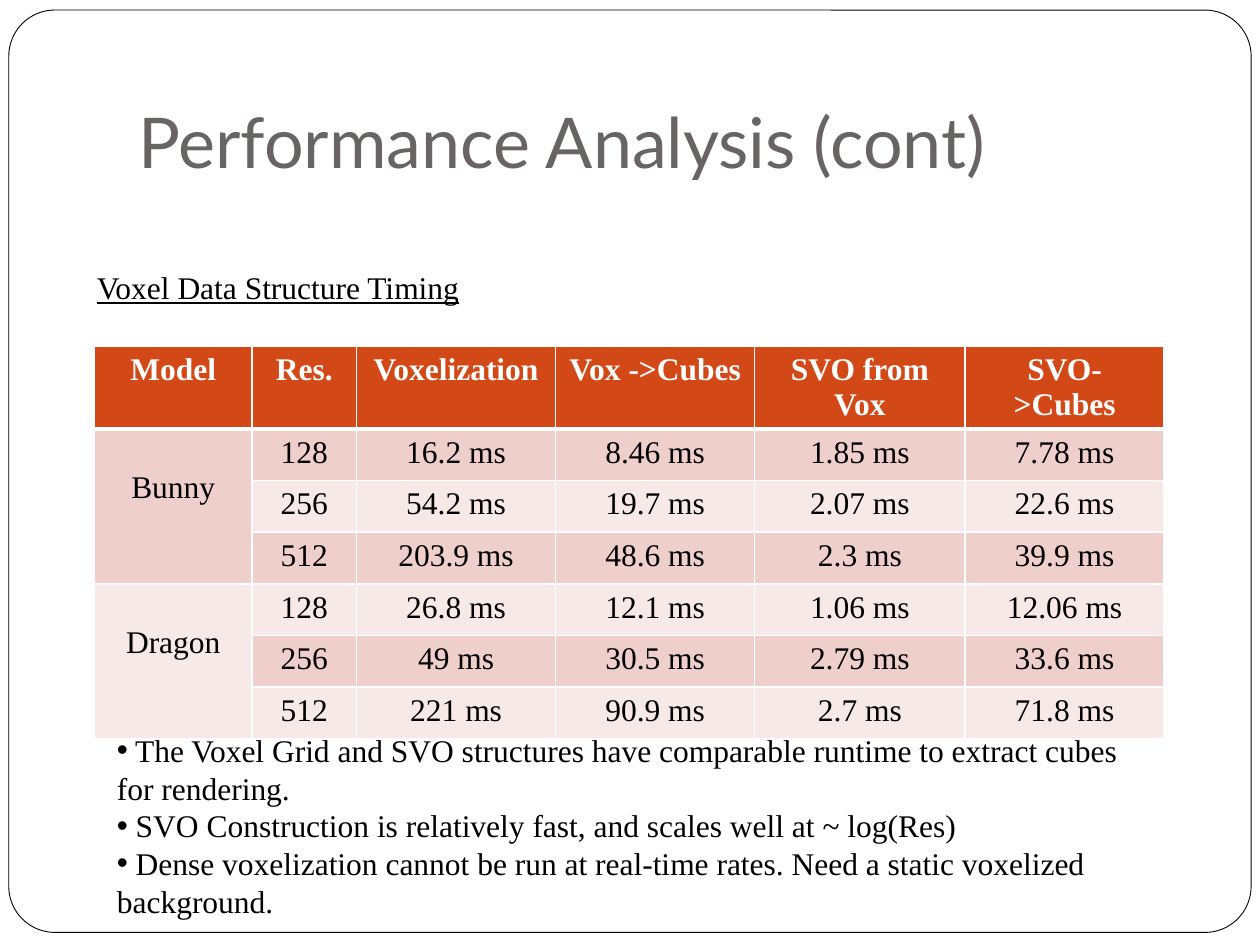
"""Build the voxel data structure timing slide."""
from lxml.etree import SubElement
from pptx import Presentation
from pptx.dml.color import RGBColor
from pptx.enum.shapes import MSO_SHAPE as SHAPE
from pptx.enum.text import MSO_ANCHOR as ANCHOR, MSO_AUTO_SIZE as AUTO, PP_ALIGN as ALIGN
from pptx.oxml.ns import qn
from pptx.util import Inches, Pt

TITLE = "Performance Analysis (cont)"
CAPTION = "Voxel Data Structure Timing"
HEADERS = ["Model", "Res.", "Voxelization", "Vox ->Cubes", "SVO from Vox", "SVO->Cubes"]
TIMINGS = {
    "Bunny": [
        ("128", "16.2 ms", "8.46 ms", "1.85 ms", "7.78 ms"),
        ("256", "54.2 ms", "19.7 ms", "2.07 ms", "22.6 ms"),
        ("512", "203.9 ms", "48.6 ms", "2.3 ms", "39.9 ms"),
    ],
    "Dragon": [
        ("128", "26.8 ms", "12.1 ms", "1.06 ms", "12.06 ms"),
        ("256", "49 ms", "30.5 ms", "2.79 ms", "33.6 ms"),
        ("512", "221 ms", "90.9 ms", "2.7 ms", "71.8 ms"),
    ],
}
FINDINGS = [
    " The Voxel Grid and SVO structures have comparable runtime to extract cubes for rendering.",
    " SVO Construction is relatively fast, and scales well at ~ log(Res)",
    " Dense voxelization cannot be run at real-time rates. Need a static voxelized background.",
]
COL_WIDTHS = [1.25, 0.83, 1.58, 1.58, 1.67, 1.58]
ROW_HEIGHT = 0.41
COLORS = {"white": "FFFFFF", "black": "000000", "title": "696464",
          "header": "D34817", "band1": "EFCFCC", "band2": "F7E9E8"}


def rgb(name):
    return RGBColor.from_string(COLORS[name])


def write(tf, lines, size=18, font="Times New Roman", color="black", bold=False,
          underline=False, align=ALIGN.LEFT, bullet=None):
    for i, text in enumerate(lines):
        p = tf.paragraphs[0] if i == 0 else tf.add_paragraph()
        p.alignment = align
        if bullet:
            pPr = p._p.get_or_add_pPr()
            SubElement(pPr, qn("a:buFont"), typeface="Arial")
            SubElement(pPr, qn("a:buChar"), char=bullet)
        r = p.add_run()
        r.text = text
        r.font.size, r.font.name = Pt(size), font
        r.font.bold, r.font.underline = bold, underline
        r.font.color.rgb = rgb(color)


def add_text(slide, box, lines, anchor=ANCHOR.TOP, grow=True, bottom=0.05, **fmt):
    tf = slide.shapes.add_textbox(*map(Inches, box)).text_frame
    tf.word_wrap = True
    tf.auto_size = AUTO.SHAPE_TO_FIT_TEXT if grow else AUTO.NONE
    tf.vertical_anchor = anchor
    tf.margin_bottom = Inches(bottom)
    write(tf, lines, **fmt)


def style_cell(cell, fill, top=1, bottom=1):
    tcPr = cell._tc.get_or_add_tcPr()
    for side, width in (("L", 1), ("R", 1), ("T", top), ("B", bottom)):
        ln = SubElement(tcPr, qn(f"a:ln{side}"), w=str(Pt(width)))
        SubElement(SubElement(ln, qn("a:solidFill")), qn("a:srgbClr"), val=COLORS["white"])
    cell.fill.solid()
    cell.fill.fore_color.rgb = rgb(fill)


def add_timing_table(slide):
    rows = [HEADERS]
    for model, runs in TIMINGS.items():
        rows += [(model if i == 0 else "", *run) for i, run in enumerate(runs)]
    size = Inches(sum(COL_WIDTHS)), Inches(ROW_HEIGHT * len(rows))
    table = slide.shapes.add_table(len(rows), len(HEADERS), Inches(0.75), Inches(2.75), *size).table
    table.horz_banding = False
    for col, width in zip(table.columns, COL_WIDTHS):
        col.width = Inches(width)
    for r, row in enumerate(rows):
        table.rows[r].height = Inches(ROW_HEIGHT)
        head = r == 0
        fill = "header" if head else "band1" if r % 2 else "band2"
        for c, text in enumerate(row):
            cell = table.cell(r, c)
            style_cell(cell, fill, top=3 if r == 1 else 1, bottom=3 if head else 1)
            if text:
                write(cell.text_frame, [text], color="white" if head else "black",
                      bold=head, align=ALIGN.CENTER)
    first = 1
    for runs in TIMINGS.values():
        cell = table.cell(first, 0)
        cell.merge(table.cell(first + len(runs) - 1, 0))
        cell.margin_top = Inches(0.33)
        first += len(runs)


def main():
    prs = Presentation()
    prs.slide_width, prs.slide_height = Inches(10), Inches(7.5)
    slide = prs.slides.add_slide(prs.slide_layouts[6])

    frame = slide.shapes.add_shape(SHAPE.ROUNDED_RECTANGLE,
                                   *map(Inches, (0.07, 0.08, 9.86, 7.32)))
    frame.adjustments[0] = 0.05
    frame.shadow.inherit = False
    frame.fill.solid()
    frame.fill.fore_color.rgb = rgb("white")
    frame.line.color.rgb = rgb("black")
    frame.line.width = Pt(0.5)

    add_text(slide, (1, 0.3, 8.5, 1.25), [TITLE], anchor=ANCHOR.BOTTOM, grow=False,
             bottom=0.1, size=40, font="Lato", color="title")
    add_timing_table(slide)
    add_text(slide, (0.67, 2.08, 3.92, 0.4), [CAPTION], underline=True)
    add_text(slide, (0.83, 5.75, 8.33, 1.31), FINDINGS, bullet="•")
    prs.save("out.pptx")


if __name__ == "__main__":
    main()
